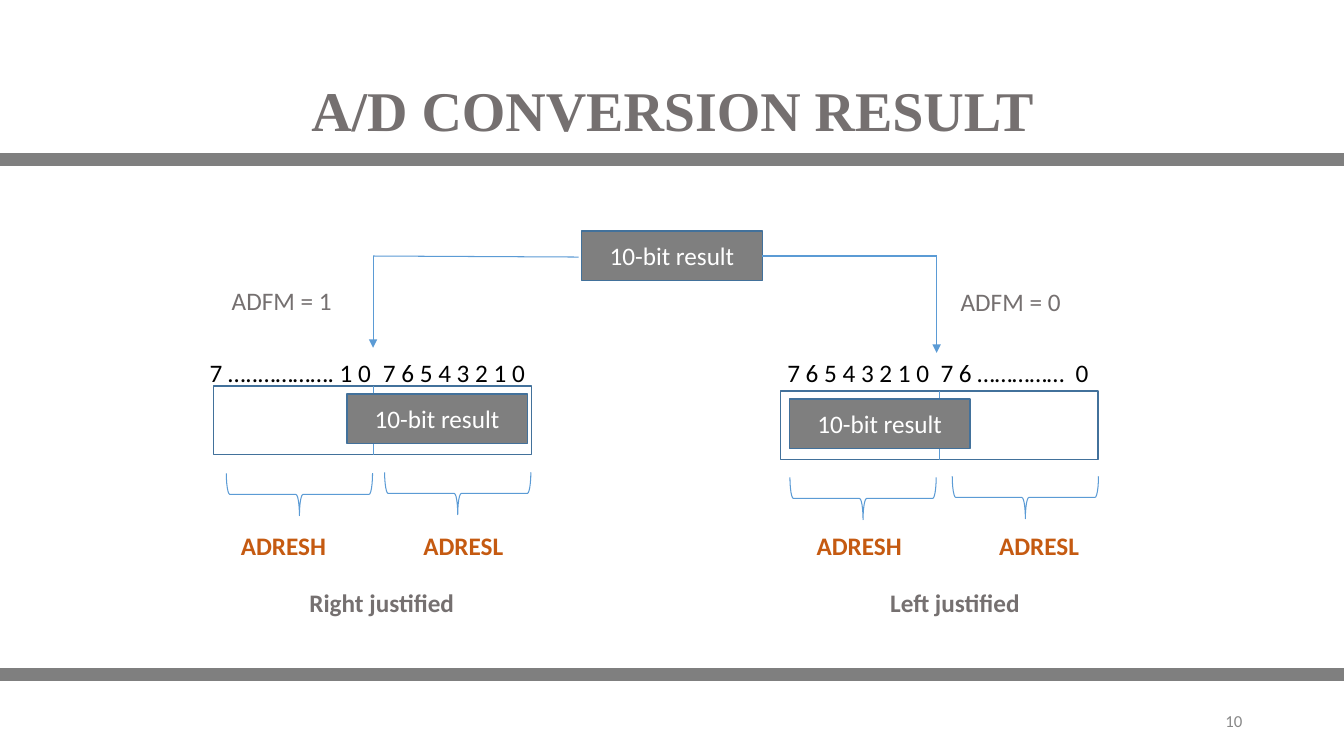
from lxml import etree
from pptx import Presentation, util as u
from pptx.dml.color import RGBColor
from pptx.enum import shapes, text
from pptx.oxml.ns import qn

PX = 9144
COLORS = {"gray": "7F7F7F", "label": "757070", "number": "888888", "edge": "42719B",
          "wire": "5B9BD5", "orange": "C55A11", "black": "000000", "white": "FFFFFF"}
RESULT = "10-bit result"


def px(*lengths):
    return [u.Emu(n * PX) for n in lengths]


def rgb(name):
    return RGBColor.from_string(COLORS[name])


def write(tf, words, color, size=18, bold=False, font="Calibri",
          align=text.PP_ALIGN.LEFT, anchor=text.MSO_ANCHOR.TOP, tabs=()):
    tf.word_wrap = True
    tf.vertical_anchor = anchor
    p = tf.paragraphs[0]
    p.alignment = align
    if tabs:
        tab_list = etree.SubElement(p._p.get_or_add_pPr(), qn("a:tabLst"))
        for pos in tabs:
            etree.SubElement(tab_list, qn("a:tab"), pos=str(pos * PX), algn="l")
    r = p.add_run()
    r.text = words
    r.font.name = font
    r.font.size = u.Pt(size)
    r.font.bold = bold
    r.font.color.rgb = rgb(color)
    return p


def add_label(s, box, words, color="label", **style):
    sp = s.shapes.add_textbox(*px(*box))
    write(sp.text_frame, words, color, **style)


def add_block(s, box, line, fill=None, width=1, kind=shapes.MSO_SHAPE.RECTANGLE):
    sp = s.shapes.add_shape(kind, *px(*box))
    sp.shadow.inherit = False
    if fill:
        sp.fill.solid()
        sp.fill.fore_color.rgb = rgb(fill)
    else:
        sp.fill.background()
    sp.line.color.rgb = rgb(line)
    sp.line.width = u.Pt(width)
    return sp


def add_result(s, left, top):
    sp = add_block(s, (left, top, 179, 49), "edge", "gray")
    write(sp.text_frame, RESULT, "white", align=text.PP_ALIGN.CENTER,
          anchor=text.MSO_ANCHOR.MIDDLE)


def add_brace(s, left, top):
    sp = add_block(s, (left, top, 42, 145), "wire", width=0.75,
                   kind=shapes.MSO_SHAPE.LEFT_BRACE)
    sp.rotation = 270


def add_wire(s, x1, y1, x2, y2, arrow=False):
    cn = s.shapes.add_connector(shapes.MSO_CONNECTOR.STRAIGHT, *px(x1, y1, x2, y2))
    cn.line.color.rgb = rgb("wire")
    cn.line.width = u.Pt(0.75)
    if arrow:
        etree.SubElement(cn.line._get_or_add_ln(), qn("a:tailEnd"), type="triangle")
    etree.SubElement(cn._element.spPr, qn("a:effectLst"))


def add_register(s, left, top, bits, bits_left, bit_tabs, result_left, braces,
                 names_left, caption, caption_left):
    add_block(s, (left, top, 315, 68), "edge")
    add_wire(s, left + 158, top, left + 158, top + 68)
    add_label(s, (bits_left, 350, 342, 40), bits, "black", tabs=bit_tabs)
    for brace_left, brace_top in braces:
        add_brace(s, brace_left, brace_top)
    add_label(s, (names_left, 521, 298, 40), "ADRESH\tADRESL", "orange",
              bold=True, tabs=[181])
    add_result(s, result_left, top + 8)
    add_label(s, (caption_left, 578, 179, 40), caption, bold=True)


def main():
    prs = Presentation()
    prs.slide_width, prs.slide_height = px(1333, 750)
    s = prs.slides.add_slide(prs.slide_layouts[5])

    title = s.shapes.title
    title.left, title.top, title.width, title.height = px(92, 40, 1150, 145)
    p = write(title.text_frame, "A/D CONVERSION RESULT", "label", size=40, bold=True,
              font="Times New Roman", align=text.PP_ALIGN.CENTER,
              anchor=text.MSO_ANCHOR.MIDDLE)
    p.line_spacing = 0.9
    add_label(s, (942, 695, 300, 40), "10", "number", size=12,
              align=text.PP_ALIGN.RIGHT, anchor=text.MSO_ANCHOR.MIDDLE)

    add_register(s, 212, 383, "7 …..…………. 1 0\t7 6 5 4 3 2 1 0", 198, [172], 344,
                 [(276, 418), (433, 417)], 229, "Right justified", 297)
    add_register(s, 774, 388, "7 6 5 4 3 2 1 0\t7 6 ……………\t0", 771, [152, 286], 783,
                 [(835, 422), (996, 421)], 800, "Left justified", 873)

    add_result(s, 577, 229)
    add_wire(s, 574, 255, 370, 254)
    add_wire(s, 756, 254, 929, 254)
    add_wire(s, 929, 254, 929, 350, arrow=True)
    add_wire(s, 370, 254, 370, 345, arrow=True)
    add_label(s, (943, 279, 136, 40), "ADFM = 0")
    add_label(s, (220, 278, 136, 40), "ADFM = 1")

    for top in (152, 663):
        add_block(s, (0, top, 1333, 12), "gray", "gray")

    prs.save("out.pptx")


if __name__ == "__main__":
    main()
